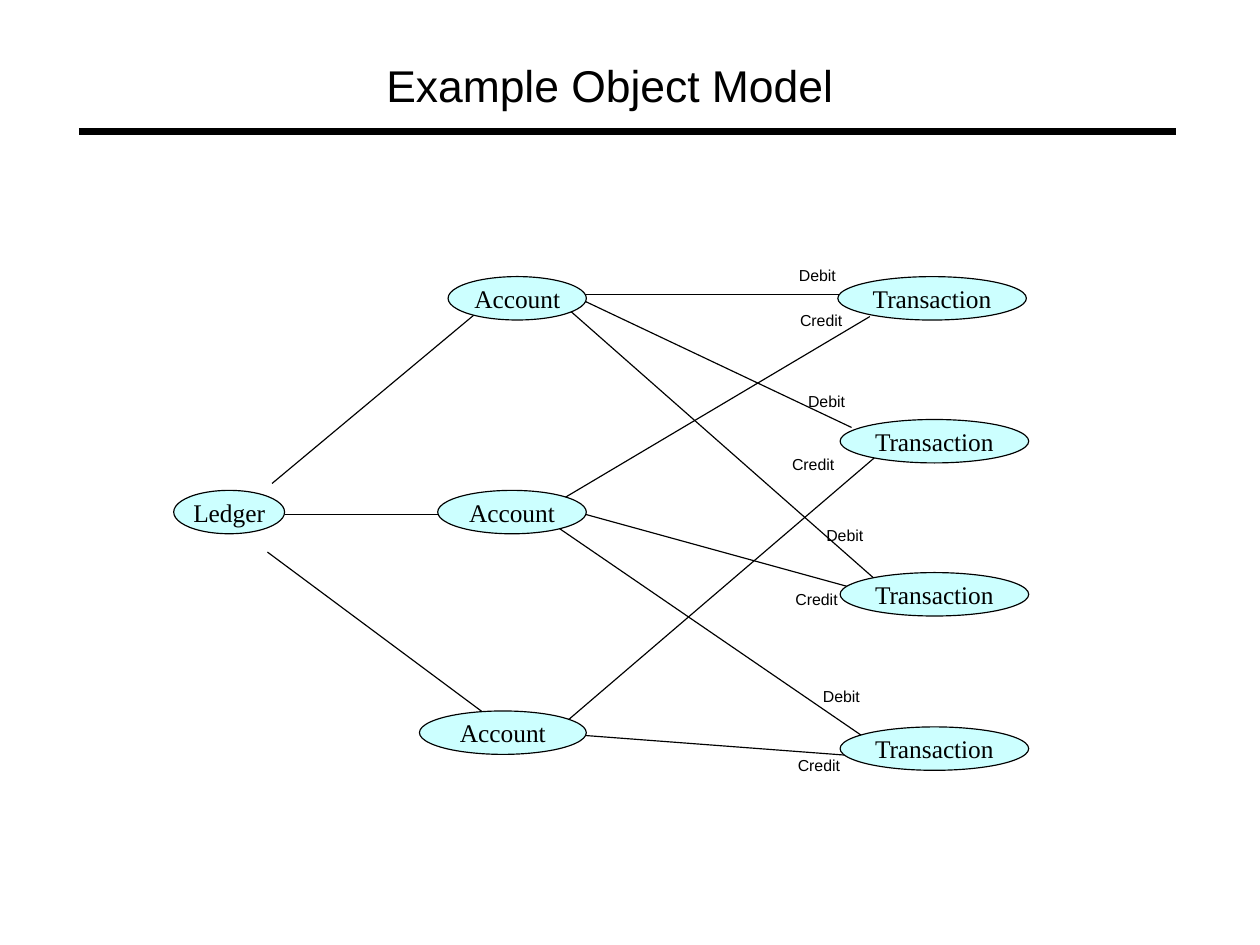
"""Build the ledger, account and transaction object model slide."""
from lxml.etree import SubElement
from pptx import Presentation
from pptx.dml.color import RGBColor
from pptx.enum.shapes import MSO_CONNECTOR, MSO_SHAPE
from pptx.enum.text import MSO_ANCHOR, MSO_AUTO_SIZE, PP_ALIGN
from pptx.oxml.ns import qn
from pptx.util import Cm, Inches, Pt


def paint(color_format, color):
    color_format.rgb = RGBColor.from_string(color)


def write(box, text, size, font, align, anchor):
    frame = box.text_frame
    frame_format = {"margin_left": 0, "margin_top": 0, "margin_right": 0,
                    "margin_bottom": 0, "word_wrap": False,
                    "vertical_anchor": anchor,
                    "auto_size": MSO_AUTO_SIZE.SHAPE_TO_FIT_TEXT}
    for name, value in frame_format.items():
        setattr(frame, name, value)
    para = frame.paragraphs[0]
    para.alignment = align
    span = para.add_run()
    span.text = text
    for name, value in {"size": Pt(size), "name": font, "bold": False}.items():
        setattr(span.font, name, value)
    paint(span.font.color, BLACK)


BLACK, PALE_CYAN = "000000", "CCFFFF"
THIN, THICK = 0.75, 4.31
ACCOUNT_RIGHT = 5.13
TRANSACTION_WIDTH, NODE_HEIGHT = 1.65, 0.38
LABEL_HEIGHT = 0.17
LABEL_WIDTHS = {"Debit": 0.33, "Credit": 0.37}

deck = Presentation()
deck.slide_width, deck.slide_height = Cm(28), Cm(21)
page = deck.slides.add_slide(deck.slide_layouts[5])

title = page.shapes.title
title_place = {"left": 3.38, "top": 0.51, "width": 4.09, "height": 0.47}
for name, value in title_place.items():
    setattr(title, name, Inches(value))
write(title, "Example Object Model", 28, "Arial", PP_ALIGN.LEFT, MSO_ANCHOR.TOP)
title.text_frame.word_wrap = True

links = [
    ((0.69, 1.15), (10.29, 1.15), THICK),
    ((7.5, 2.58), (4.83, 2.58), THIN),
    ((7.61, 2.77), (4.83, 4.42), THIN),
    ((7.45, 3.74), (5, 2.58), THIN),
    ((7.75, 3.92), (4.83, 6.42), THIN),
    ((7.67, 5.08), (4.83, 2.58), THIN),
    ((7.52, 5.16), (4.83, 4.42), THIN),
    ((7.75, 6.58), (4.83, 4.58), THIN),
    ((7.44, 6.61), (4.92, 6.42), THIN),
    ((2.38, 4.23), (4.25, 2.67), THIN),
    ((2.49, 4.5), (4.14, 4.5), THIN),
    ((2.34, 4.83), (4.25, 6.25), THIN),
]
for start, end, weight in links:
    ends = [Inches(value) for value in (*start, *end)]
    link = page.shapes.add_connector(MSO_CONNECTOR.STRAIGHT, *ends)
    paint(link.line.color, BLACK)
    link.line.width = Pt(weight)
    SubElement(link._element.spPr, qn("a:effectLst"))

label_places = {
    "Debit": [(6.99, 2.32), (7.07, 3.43), (7.23, 4.6), (7.2, 6.01)],
    "Credit": [(7, 2.72), (6.93, 3.98), (6.96, 5.16), (6.98, 6.61)],
}
for label, places in label_places.items():
    for left, top in places:
        box = page.shapes.add_textbox(Inches(left), Inches(top),
                                      Inches(LABEL_WIDTHS[label]), Inches(LABEL_HEIGHT))
        write(box, label, 10, "Arial", PP_ALIGN.LEFT, MSO_ANCHOR.TOP)

nodes = [("Ledger", 1.52, 4.29, 0.97)]
for left, top in [(3.92, 2.42), (3.83, 4.29), (3.67, 6.22)]:
    nodes.append(("Account", left, top, ACCOUNT_RIGHT - left))
for left, top in [(7.33, 2.42), (7.35, 3.67), (7.35, 5.01), (7.35, 6.36)]:
    nodes.append(("Transaction", left, top, TRANSACTION_WIDTH))

for text, left, top, width in nodes:
    node = page.shapes.add_shape(MSO_SHAPE.OVAL, Inches(left), Inches(top),
                                 Inches(width), Inches(NODE_HEIGHT))
    node.shadow.inherit = False
    node.fill.solid()
    paint(node.fill.fore_color, PALE_CYAN)
    paint(node.line.color, BLACK)
    node.line.width = Pt(THIN)
    write(node, text, 16, "Times New Roman", PP_ALIGN.CENTER, MSO_ANCHOR.MIDDLE)
    node.text_frame.auto_size = MSO_AUTO_SIZE.NONE

deck.save("out.pptx")
